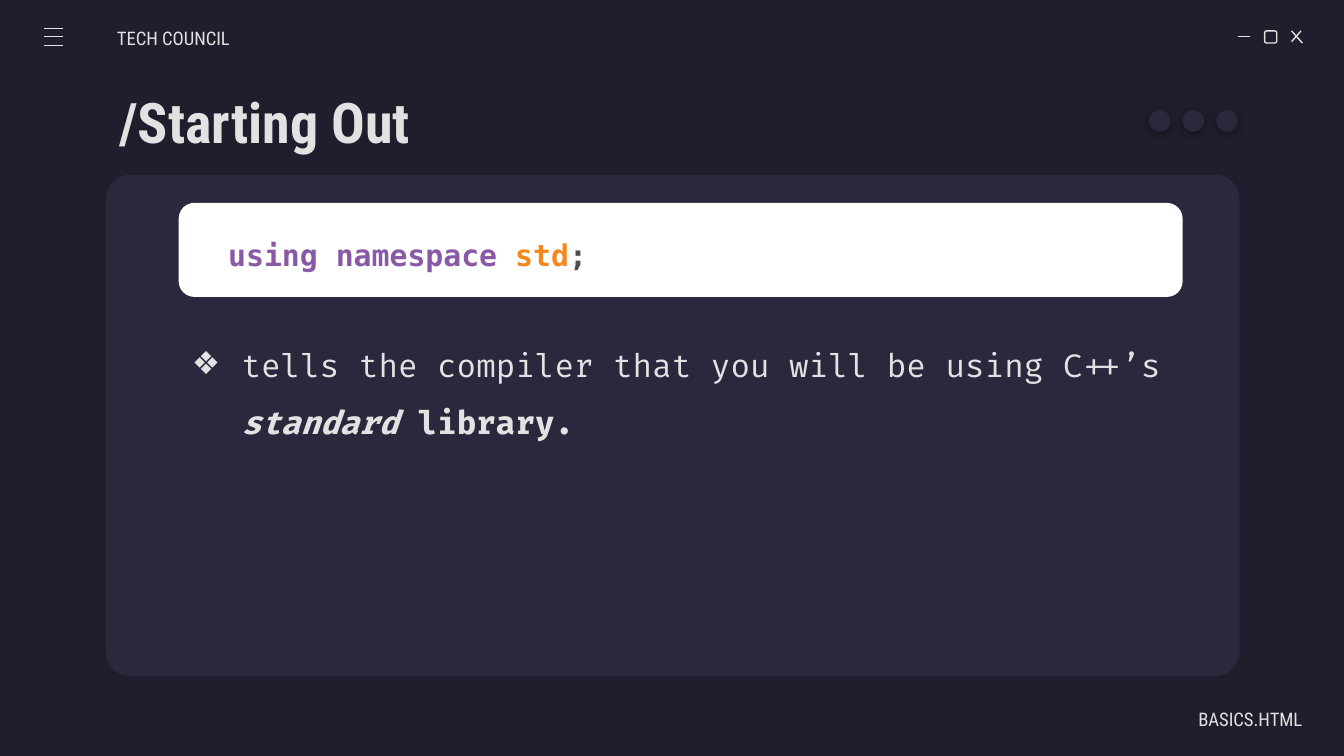
from dataclasses import dataclass

import pptx
import pptx.dml.color
import pptx.enum.shapes
import pptx.enum.text
import pptx.oxml
import pptx.oxml.ns
import pptx.util
from pptx.util import Inches

COLORS = {
    "background": "1E1E2C",
    "panel": "29283D",
    "light": "E2E2E2",
    "white": "FFFFFF",
    "keyword": "8959A8",
    "library": "F5871F",
    "punctuation": "4D4D4C",
}
SLIDE_WIDTH = 10
HEADING_FONT = "Roboto Condensed"
BODY_FONT = "Fira Code"
CODE_FONT = "DejaVu Sans Mono"
LINE_WIDTH = pptx.util.Pt(0.75)
SHAPES = pptx.enum.shapes.MSO_SHAPE
ANCHORS = pptx.enum.text.MSO_ANCHOR
ALIGNMENTS = pptx.enum.text.PP_ALIGN


@dataclass
class Box:
    left: float
    top: float
    width: float
    height: float

    def lengths(self) -> list:
        return [Inches(v) for v in (self.left, self.top, self.width, self.height)]


@dataclass
class TextPiece:
    text: str
    color: str = "light"
    bold: bool = False
    italic: bool = False


@dataclass
class TextBlock:
    box: Box
    pieces: list[TextPiece]
    font: str
    size: float
    anchor: ANCHORS = ANCHORS.MIDDLE
    alignment: ALIGNMENTS = ALIGNMENTS.LEFT
    left_inset: float = 0.1
    right_inset: float = 0.1
    line_spacing: float = 1.0
    margin: float = 0
    indent: float = 0
    bullet: str = ""


def rgb(name: str) -> pptx.dml.color.RGBColor:
    return pptx.dml.color.RGBColor.from_string(COLORS[name])


def append_xml(parent, tag: str, content: str = "", attributes: str = "") -> None:
    namespace = pptx.oxml.ns.nsdecls("a")
    parent.append(pptx.oxml.parse_xml(f"<a:{tag} {namespace} {attributes}>{content}</a:{tag}>"))


def add_outlined_or_filled(slide, kind, box: Box, fill="", line="", corner=None):
    shape = slide.shapes.add_shape(kind, *box.lengths())
    shape.shadow.inherit = False
    if corner is not None:
        shape.adjustments[0] = corner
    if fill:
        shape.fill.solid()
        shape.fill.fore_color.rgb = rgb(fill)
    else:
        shape.fill.background()
    if line:
        shape.line.color.rgb = rgb(line)
        shape.line.width = LINE_WIDTH
    else:
        shape.line.fill.background()
    return shape


def add_line(slide, x1: float, y1: float, x2: float, y2: float) -> None:
    line = slide.shapes.add_connector(
        pptx.enum.shapes.MSO_CONNECTOR.STRAIGHT,
        Inches(x1), Inches(y1), Inches(x2), Inches(y2))
    line.line.color.rgb = rgb("light")
    line.line.width = LINE_WIDTH
    append_xml(line._element.spPr, "effectLst")


def add_dot(slide, box: Box) -> None:
    """Add a panel-coloured circle with a soft shadow below it."""
    dot = add_outlined_or_filled(slide, SHAPES.OVAL, box, fill="panel")
    effects = dot._element.spPr.find(pptx.oxml.ns.qn("a:effectLst"))
    append_xml(
        effects, "outerShdw",
        '<a:srgbClr val="000000"><a:alpha val="30000"/></a:srgbClr>',
        f'blurRad="{pptx.util.Pt(4.5)}" dist="{pptx.util.Pt(1.5)}" dir="5400000" '
        'algn="bl" rotWithShape="0"')


def add_text(slide, block: TextBlock) -> None:
    frame = slide.shapes.add_textbox(*block.box.lengths()).text_frame
    frame.word_wrap = True
    frame.vertical_anchor = block.anchor
    frame.margin_left = Inches(block.left_inset)
    frame.margin_right = Inches(block.right_inset)
    frame.margin_top = frame.margin_bottom = Inches(0.1)
    paragraph = frame.paragraphs[0]
    paragraph.alignment = block.alignment
    paragraph.line_spacing = block.line_spacing
    properties = paragraph._p.get_or_add_pPr()
    properties.set("marL", str(Inches(block.margin)))
    properties.set("indent", str(Inches(block.indent)))
    if block.bullet:
        append_xml(properties, "buClr", f'<a:srgbClr val="{COLORS["light"]}"/>')
        append_xml(properties, "buSzPts", attributes=f'val="{block.size * 100}"')
        append_xml(properties, "buFont", attributes=f'typeface="{block.font}"')
        append_xml(properties, "buChar", attributes=f'char="{block.bullet}"')
    for piece in block.pieces:
        run = paragraph.add_run()
        run.text = piece.text
        run.font.name = block.font
        run.font.size = pptx.util.Pt(block.size)
        run.font.bold = piece.bold
        run.font.italic = piece.italic
        run.font.color.rgb = rgb(piece.color)


def add_window_controls(slide) -> None:
    add_line(slide, 9.21, 0.27, 9.3, 0.27)
    add_outlined_or_filled(slide, SHAPES.ROUNDED_RECTANGLE, Box(9.41, 0.23, 0.09, 0.09),
                           line="light", corner=0.167)
    add_line(slide, 9.61, 0.23, 9.69, 0.32)
    add_line(slide, 9.68, 0.23, 9.61, 0.31)


def add_menu_icon(slide) -> None:
    for y in (0.21, 0.27, 0.34):
        add_line(slide, 0.33, y, 0.47, y)


TEXT_BLOCKS = [
    TextBlock(Box(0.87, 0.13, 1.17, 0.3), [TextPiece("TECH COUNCIL")],
              HEADING_FONT, 10, left_inset=0),
    TextBlock(Box(8.52, 5.2, 1.17, 0.3), [TextPiece("BASICS.HTML")],
              HEADING_FONT, 10, alignment=ALIGNMENTS.RIGHT, right_inset=0),
    TextBlock(Box(0.79, 0.59, 8.43, 0.63), [TextPiece("/Starting Out", bold=True)],
              HEADING_FONT, 30),
    TextBlock(Box(1.2, 2.33, 7.6, 1),
              [TextPiece("tells the compiler that you will be using C++’s "),
               TextPiece("standard", bold=True, italic=True),
               TextPiece(" library.", bold=True)],
              BODY_FONT, 17, anchor=ANCHORS.TOP, line_spacing=1.5,
              margin=0.5, indent=-0.37, bullet="❖"),
    TextBlock(Box(1.52, 1.62, 6.96, 0.48),
              [TextPiece("using namespace ", "keyword", bold=True),
               TextPiece("std", "library", bold=True),
               TextPiece(";", "punctuation", bold=True)],
              CODE_FONT, 16, anchor=ANCHORS.TOP, line_spacing=1.15, margin=0.08),
]


def main() -> None:
    presentation = pptx.Presentation()
    presentation.slide_width = Inches(SLIDE_WIDTH)
    presentation.slide_height = Inches(SLIDE_WIDTH * 9 / 16)
    slide = presentation.slides.add_slide(presentation.slide_layouts[6])
    slide.background.fill.solid()
    slide.background.fill.fore_color.rgb = rgb("background")

    add_outlined_or_filled(slide, SHAPES.ROUNDED_RECTANGLE, Box(0.79, 1.3, 8.43, 3.73),
                           fill="panel", corner=0.047)
    add_window_controls(slide)
    add_menu_icon(slide)
    for index in range(3):
        add_dot(slide, Box(9.05 - 0.25 * index, 0.82, 0.16, 0.16))
    add_outlined_or_filled(slide, SHAPES.ROUNDED_RECTANGLE, Box(1.33, 1.51, 7.47, 0.7),
                           fill="white", corner=0.167)
    for block in TEXT_BLOCKS:
        add_text(slide, block)
    presentation.save("out.pptx")


if __name__ == "__main__":
    main()
